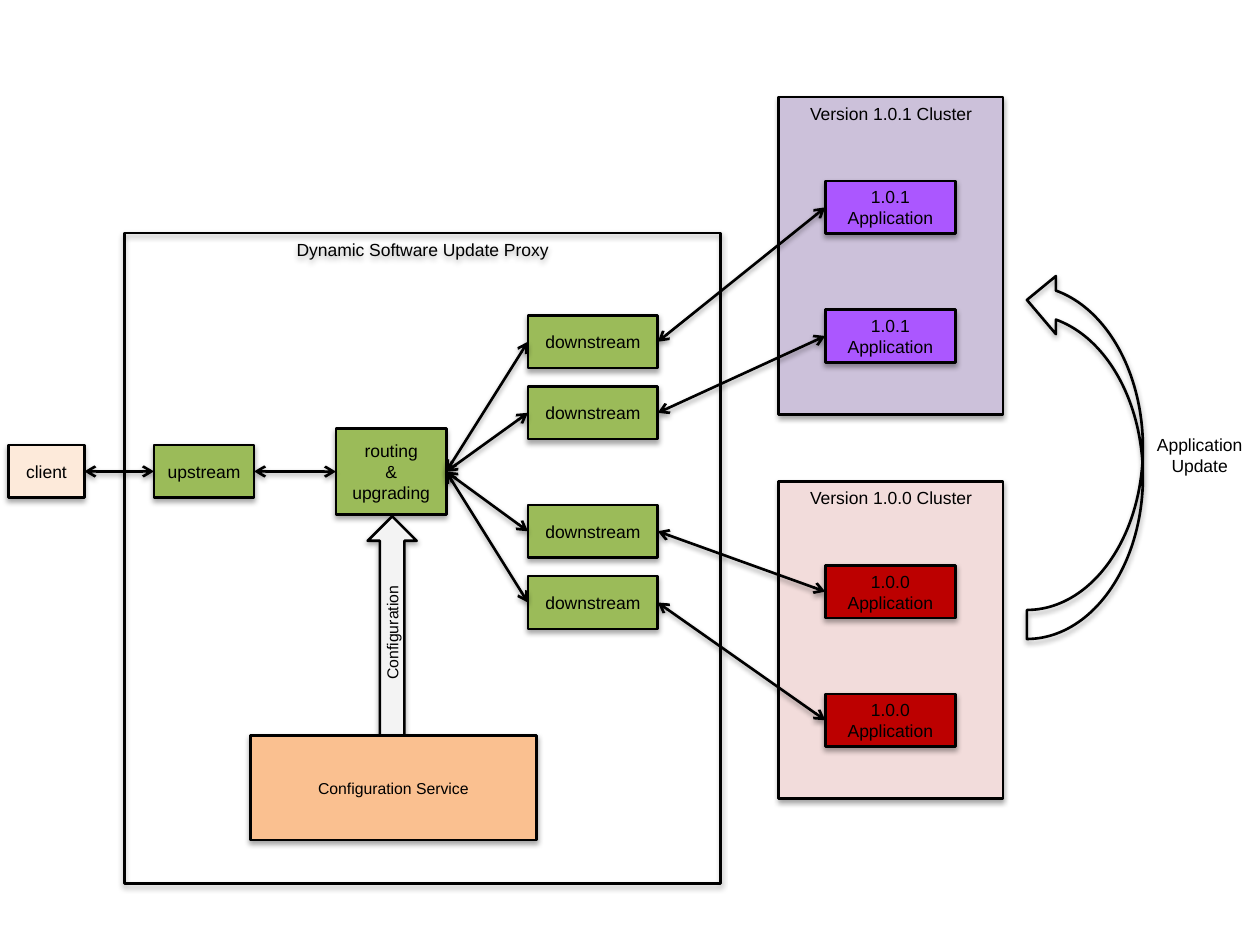
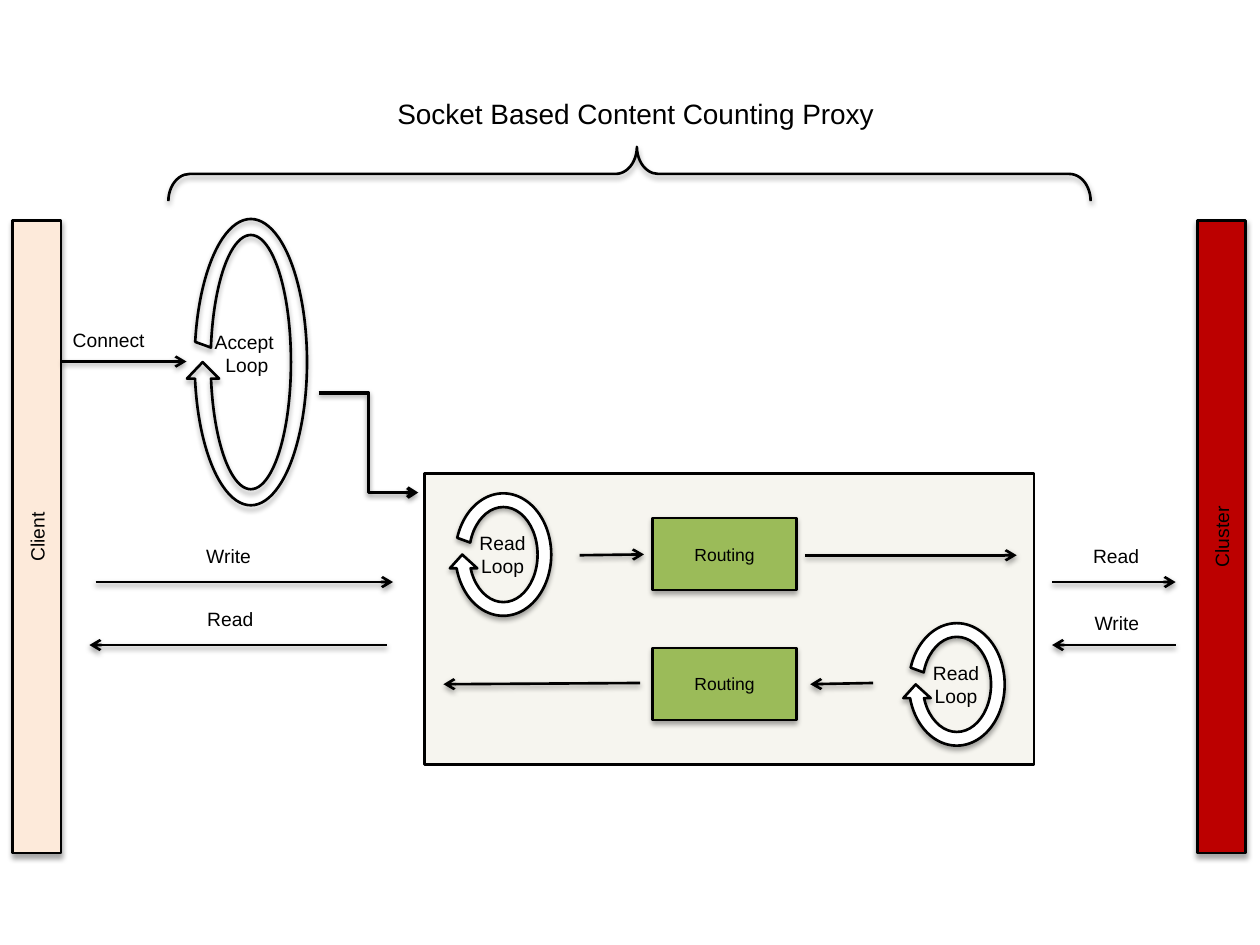
"""Build two diagrams of a dynamic software update proxy."""
from dataclasses import dataclass
from typing import Optional

import pptx
import pptx.dml.color
import pptx.enum.shapes
import pptx.enum.text
import pptx.oxml.ns
import pptx.oxml.xmlchemy
import pptx.util
from lxml import etree

Pt = pptx.util.Pt
RGB = pptx.dml.color.RGBColor
qn = pptx.oxml.ns.qn
MSO = pptx.enum.shapes.MSO_SHAPE
CONN = pptx.enum.shapes.MSO_CONNECTOR
ALIGN = pptx.enum.text.PP_ALIGN
ANCHOR = pptx.enum.text.MSO_ANCHOR


@dataclass(frozen=True)
class Theme:
    """Colours, type sizes and line widths of the deck."""
    font: str = "Arial"
    ink: str = "000000"
    white: str = "FFFFFF"
    proxy: str = "9BBB59"
    client: str = "FDEADA"
    service: str = "FAC090"
    panel: str = "EEECE1"
    old_app: str = "BC0000"
    old_cluster: str = "F2DCDB"
    new_app: str = "AB57FF"
    new_cluster: str = "CCC1DA"
    title: float = 16
    label: float = 11
    body: float = 10
    small: float = 9
    line: float = 1.5
    bold_line: float = 2


T = Theme()
LOOP_ADJ = (0.125, 11.423, 204.577, 11.989, 0.125)


@dataclass(frozen=True)
class Box:
    """A shape with its place, look and text."""
    x: float
    y: float
    w: float
    h: float
    text: str = ""
    fill: Optional[str] = None
    size: float = T.body
    kind: MSO = MSO.RECTANGLE
    rot: float = 0
    adj: tuple[float, ...] = ()
    alpha: int = 100
    anchor: ANCHOR = ANCHOR.MIDDLE
    shadow: bool = True


@dataclass(frozen=True)
class Label:
    """A text box with its place and alignment."""
    x: float
    y: float
    w: float
    h: float
    text: str
    size: float = T.label
    align: ALIGN = ALIGN.CENTER


@dataclass(frozen=True)
class Arrow:
    """A line between two points with heads at either end."""
    x1: float
    y1: float
    x2: float
    y2: float
    head: bool = False
    tail: bool = True
    kind: CONN = CONN.STRAIGHT
    width: float = T.line


def write(tf, text: str, size: float, align: ALIGN, anchor: ANCHOR) -> None:
    """Fill a text frame, one paragraph for each line of text."""
    tf.word_wrap = True
    tf.auto_size = pptx.enum.text.MSO_AUTO_SIZE.NONE
    tf.vertical_anchor = anchor
    tf.margin_left = tf.margin_right = Pt(7.2)
    tf.margin_top = tf.margin_bottom = Pt(3.6)
    for i, line in enumerate(text.split("\n")):
        p = tf.add_paragraph() if i else tf.paragraphs[0]
        p.alignment = align
        r = p.add_run()
        r.text = line
        r.font.name = T.font
        r.font.size = Pt(size)
        r.font.color.rgb = RGB.from_string(T.ink)


def add_shadow(effects, alpha: int, dist: float) -> None:
    """Add a soft shadow that falls straight down."""
    shadow = etree.SubElement(effects, qn("a:outerShdw"), blurRad=str(Pt(3.1)),
                              dist=str(Pt(dist)), dir="5400000", rotWithShape="0")
    clr = etree.SubElement(shadow, qn("a:srgbClr"), val=T.ink)
    etree.SubElement(clr, qn("a:alpha"), val=str(alpha * 1000))


def add_box(s, b: Box):
    """Draw a box and return its shape."""
    sp = s.shapes.add_shape(b.kind, Pt(b.x), Pt(b.y), Pt(b.w), Pt(b.h))
    sp.rotation = b.rot
    for i, value in enumerate(b.adj):
        sp.adjustments[i] = value
    if b.fill:
        sp.fill.solid()
        sp.fill.fore_color.rgb = RGB.from_string(b.fill)
        if b.alpha < 100:
            clr = sp._element.spPr.find(".//" + qn("a:srgbClr"))
            etree.SubElement(clr, qn("a:alpha"), val=str(b.alpha * 1000))
    else:
        sp.fill.background()
    sp.line.color.rgb = RGB.from_string(T.ink)
    sp.line.width = Pt(T.line)
    sp.shadow.inherit = False
    if b.shadow:
        add_shadow(sp._element.spPr.find(qn("a:effectLst")), 35, 1.8)
    if b.text:
        write(sp.text_frame, b.text, b.size, ALIGN.CENTER, b.anchor)
    return sp


def add_label(s, lb: Label) -> None:
    """Draw a text box."""
    sp = s.shapes.add_textbox(Pt(lb.x), Pt(lb.y), Pt(lb.w), Pt(lb.h))
    write(sp.text_frame, lb.text, lb.size, lb.align, ANCHOR.MIDDLE)


def add_arrow(s, a: Arrow):
    """Draw an arrow and return its connector."""
    cx = s.shapes.add_connector(a.kind, Pt(a.x1), Pt(a.y1), Pt(a.x2), Pt(a.y2))
    cx.line.color.rgb = RGB.from_string(T.ink)
    cx.line.width = Pt(a.width)
    ln = cx.line._get_or_add_ln()
    for tag, shown in (("a:headEnd", a.head), ("a:tailEnd", a.tail)):
        if shown:
            etree.SubElement(ln, qn(tag), type="arrow")
    add_shadow(etree.SubElement(cx._element.spPr, qn("a:effectLst")), 38, 1.6)
    return cx


def link(s, a, b) -> None:
    """Join the right side of one box to the left side of another, both ways."""
    cx = add_arrow(s, Arrow(0, 0, 0, 0, head=True))
    cx.begin_connect(a, 3)
    cx.end_connect(b, 1)


def add_cluster(s, y: float, version: str, fill: str, app_fill: str) -> list:
    """Draw a cluster and return its two applications."""
    add_box(s, Box(445, y, 128.2, 181.4, f"Version {version} Cluster", fill,
                   anchor=ANCHOR.TOP))
    return [add_box(s, Box(471.6, y + dy, 74.3, 30.2, f"{version} Application", app_fill))
            for dy in (48, 121.5)]


def add_loop(s, x: float, y: float) -> None:
    """Draw a read loop with its label."""
    add_box(s, Box(x, y, 62.6, 77.8, fill=T.white, kind=MSO.CIRCULAR_ARROW,
                   rot=180, adj=LOOP_ADJ))
    add_label(s, Label(x - 8, y + 29.6, 77.8, 18, "Read\nLoop"))


def build_architecture(prs) -> None:
    """Draw the update proxy between client and clusters."""
    s = prs.slides.add_slide(prs.slide_layouts[6])
    old_apps = add_cluster(s, 275, "1.0.0", T.old_cluster, T.old_app)
    new_apps = add_cluster(s, 55.4, "1.0.1", T.new_cluster, T.new_app)
    upstream = add_box(s, Box(88, 254.3, 57.2, 30.2, "upstream", T.proxy))
    routing = add_box(s, Box(192, 245, 63, 49, "routing\n& upgrading", T.proxy))
    client = add_box(s, Box(5, 254.3, 43.2, 30.2, "client", T.client))
    downstreams = [add_box(s, Box(301.7, y, 74.2, 30.2, "downstream", T.proxy))
                   for y in (180.2, 220.8, 288.5, 329.2)]
    for downstream, app in zip(downstreams, new_apps + old_apps):
        link(s, downstream, app)
        link(s, routing, downstream)
    link(s, upstream, routing)
    link(s, client, upstream)
    for b in (
        Box(71, 133.2, 340.8, 371.6, "Dynamic Software Update Proxy", anchor=ANCHOR.TOP),
        Box(586.8, 154.8, 66.3, 210.3, kind=MSO.CURVED_RIGHT_ARROW, rot=180),
        Box(161.1, 344, 126, 28, "Configuration", T.white, T.small,
            MSO.RIGHT_ARROW, 270, alpha=85),
        Box(143, 420.3, 163.5, 59.8, "Configuration Service", T.service, T.small),
    ):
        add_box(s, b)
    add_label(s, Label(653, 244.9, 65, 30.2, "Application\nUpdate", T.body))


def build_proxy(prs) -> None:
    """Draw the socket based proxy and its loops."""
    s = prs.slides.add_slide(prs.slide_layouts[5])
    title = s.shapes.title
    title.left, title.top, title.width, title.height = map(Pt, (191.5, 51.8, 343.5, 26.6))
    write(title.text_frame, "Socket Based Content Counting Proxy", T.title,
          ALIGN.CENTER, ANCHOR.TOP)
    for x, text, fill in ((-159.7, "Client", T.client), (517.2, "Cluster", T.old_app)):
        add_box(s, Box(x, 293, 361.5, 27.5, text, fill, T.label, rot=270))
    for b in (
        Box(242.5, 270.5, 348.5, 166.5, fill=T.panel, alpha=50, shadow=False),
        Box(106.6, 120.5, 73.4, 172.8, kind=MSO.CIRCULAR_ARROW, rot=180, adj=LOOP_ADJ),
        Box(344.2, -164.1, 31, 527, kind=MSO.LEFT_BRACE, rot=90, adj=(0.393, 0.492)),
        Box(373, 296, 82, 41.2, "Routing", T.proxy),
        Box(373, 370.2, 82, 41.2, "Routing", T.proxy),
    ):
        add_box(s, b)
    add_loop(s, 256.3, 278)
    add_loop(s, 515.4, 352.2)
    for lb in (
        Label(34.5, 182.2, 67, 24.5, "Connect", align=ALIGN.LEFT),
        Label(102.2, 185, 77.8, 33.8, "Accept \nLoop"),
        Label(95.8, 305.3, 54.7, 24.5, "Write", align=ALIGN.RIGHT),
        Label(97.2, 341.3, 54.7, 24.5, "Read", align=ALIGN.RIGHT),
        Label(603.4, 305.3, 54.7, 24.5, "Read", align=ALIGN.RIGHT),
        Label(603.4, 343.4, 54.7, 24.5, "Write", align=ALIGN.RIGHT),
    ):
        add_label(s, lb)
    for a in (
        Arrow(35.3, 206.6, 106.6, 206.6),
        Arrow(182, 224.6, 239, 281.5, kind=CONN.ELBOW, width=T.bold_line),
        Arrow(54.7, 332.6, 224.6, 332.6),
        Arrow(221, 368.6, 51.1, 368.6),
        Arrow(601.2, 332.6, 671.8, 332.6),
        Arrow(671.8, 368.6, 601.2, 368.6),
        Arrow(331.2, 317.3, 368, 316.8),
        Arrow(460, 317.3, 581, 317.3),
        Arrow(365.8, 390.3, 253.4, 391),
        Arrow(499, 390.3, 463, 391),
    ):
        add_arrow(s, a)


def main() -> None:
    """Build and save the deck."""
    prs = pptx.Presentation()
    prs.slide_width, prs.slide_height = Pt(720), Pt(540)
    build_architecture(prs)
    build_proxy(prs)
    prs.save("out.pptx")


if __name__ == "__main__":
    main()
